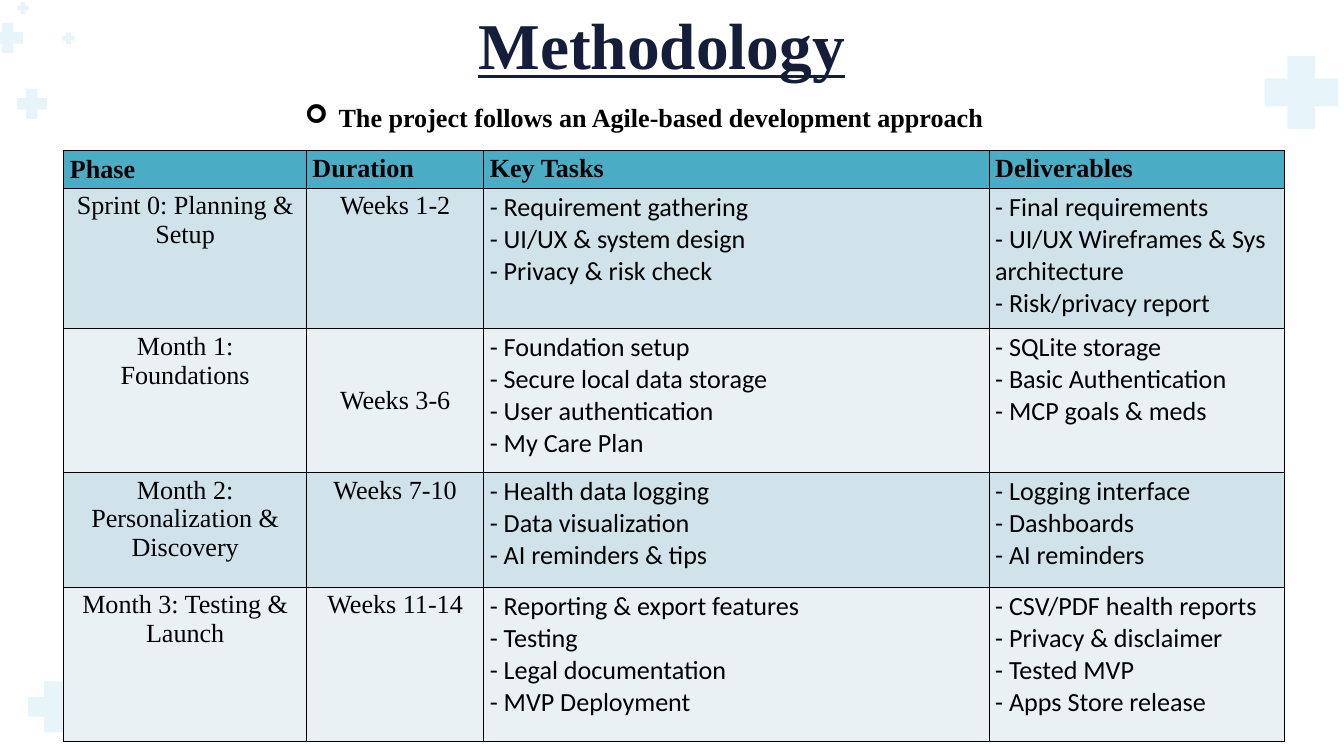
"""Build the Methodology slide with its sprint plan table."""
import pptx
import pptx.dml.color
import pptx.enum.shapes
import pptx.enum.text
import pptx.oxml
import pptx.oxml.ns
import pptx.util
from pptx.util import Inches

COLORS = {
    "title": "141E3A",
    "text": "000000",
    "cross": "29ABD9",
    "header": "4BACC6",
    "odd_row": "D0E3EA",
    "even_row": "E9F1F5",
}
SERIF = "Times New Roman"
SANS = "Calibri"
ALIGN = pptx.enum.text.PP_ALIGN
ANCHOR = pptx.enum.text.MSO_ANCHOR

CROSSES = [
    (0.42, 10.14, 0.76),
    (-0.11, 0.34, 0.45),
    (0.93, 0.48, 0.18),
    (0.25, 0.03, 0.18),
    (0.25, 1.32, 0.45),
    (18.82, 0.83, 1.09),
]
COLUMN_WIDTHS = [3.61, 2.64, 7.52, 4.4]
ROW_HEIGHTS = [0.56, 2.09, 2.14, 1.71, 2.3]
HEADERS = ["Phase", "Duration", "Key Tasks", "Deliverables"]
PHASES = [
    ("Sprint 0: Planning & Setup", "Weeks 1-2",
     ["Requirement gathering", "UI/UX & system design", "Privacy & risk check"],
     ["Final requirements", "UI/UX Wireframes & Sys architecture",
      "Risk/privacy report"]),
    ("Month 1: Foundations", "Weeks 3-6",
     ["Foundation setup", "Secure local data storage", "User authentication",
      "My Care Plan"],
     ["SQLite storage", "Basic Authentication", "MCP goals & meds"]),
    ("Month 2: Personalization & Discovery", "Weeks 7-10",
     ["Health data logging", "Data visualization", "AI reminders & tips"],
     ["Logging interface", "Dashboards", "AI reminders"]),
    ("Month 3: Testing & Launch", "Weeks 11-14",
     ["Reporting & export features", "Testing", "Legal documentation",
      "MVP Deployment"],
     ["CSV/PDF health reports", "Privacy & disclaimer", "Tested MVP",
      "Apps Store release"]),
]


def rgb(name):
    """Return the named colour."""
    return pptx.dml.color.RGBColor.from_string(COLORS[name])


def add_xml(parent, xml):
    """Append a DrawingML element to the parent and return it."""
    namespace = pptx.oxml.ns.nsdecls("a")
    element = pptx.oxml.parse_xml(xml.replace(" ", f" {namespace} ", 1))
    parent.append(element)
    return element


def format_text(para, font, size=28, color="text", bold=False):
    """Format every run of a paragraph."""
    for span in para.runs:
        span.font.name = font
        span.font.size = pptx.util.Pt(size)
        span.font.bold = bold
        span.font.color.rgb = rgb(color)


def add_cross(slide, left, top, size):
    """Add a faint medical cross."""
    cross = slide.shapes.add_shape(
        pptx.enum.shapes.MSO_SHAPE.CROSS,
        Inches(left), Inches(top), Inches(size), Inches(size))
    cross.adjustments[0] = 0.31
    cross.shadow.inherit = False
    cross.line.fill.background()
    cross.fill.solid()
    cross.fill.fore_color.rgb = rgb("cross")
    color = cross.fill._xPr.find(".//" + pptx.oxml.ns.qn("a:srgbClr"))
    add_xml(color, '<a:alpha val="11000"/>')


def set_title(slide):
    """Place and format the title."""
    title = slide.shapes.title
    title.left, title.top = Inches(7.12), Inches(-0.14)
    title.width, title.height = Inches(7.07), Inches(1.37)
    frame = title.text_frame
    frame.text = "Methodology"
    frame.auto_size = pptx.enum.text.MSO_AUTO_SIZE.NONE
    frame.vertical_anchor = ANCHOR.BOTTOM
    frame.margin_left = frame.margin_right = 0
    frame.margin_top = frame.margin_bottom = 0
    para = frame.paragraphs[0]
    para.alignment = ALIGN.LEFT
    para.line_spacing = pptx.util.Pt(84)
    format_text(para, SERIF, 70, "title", True)
    para.runs[0].font.underline = True


def add_approach(slide):
    """Add the bulleted statement above the table."""
    box = slide.shapes.add_textbox(
        Inches(4.29), Inches(1.23), Inches(15.08), Inches(0.72))
    frame = box.text_frame
    frame.word_wrap = True
    frame.auto_size = pptx.enum.text.MSO_AUTO_SIZE.SHAPE_TO_FIT_TEXT
    frame.text = "The project follows an Agile-based development approach"
    para = frame.paragraphs[0]
    para.alignment = ALIGN.JUSTIFY
    para.line_spacing = 1.5
    format_text(para, SERIF, bold=True)
    properties = para._p.get_or_add_pPr()
    properties.set("marL", str(Inches(0.65)))
    properties.set("indent", str(Inches(-0.5)))
    add_xml(properties, '<a:buFont typeface="Wingdings"/>')
    add_xml(properties, '<a:buChar char="➢"/>')


def fill_cell(cell, text, fill, font=SERIF, align=ALIGN.LEFT, bold=False):
    """Write a cell and set its border and fill."""
    cell.text_frame.text = text
    cell.margin_left = cell.margin_right = Inches(0.09)
    cell.margin_top = cell.margin_bottom = Inches(0.05)
    para = cell.text_frame.paragraphs[0]
    para.alignment = align
    format_text(para, font, bold=bold)
    properties = cell._tc.get_or_add_tcPr()
    for side in "LRTB":
        add_xml(properties, f'<a:ln{side} w="{pptx.util.Pt(1)}"><a:solidFill>'
                f'<a:srgbClr val="{COLORS["text"]}"/></a:solidFill></a:ln{side}>')
    cell.fill.solid()
    cell.fill.fore_color.rgb = rgb(fill)


def dash_list(items):
    """Join items as dashed lines of one paragraph."""
    return "\v".join(f"- {item}" for item in items)


def add_plan(slide):
    """Add the table of phases."""
    table = slide.shapes.add_table(
        len(ROW_HEIGHTS), len(COLUMN_WIDTHS), Inches(0.95), Inches(2.24),
        Inches(sum(COLUMN_WIDTHS)), Inches(sum(ROW_HEIGHTS))).table
    for column, width in zip(table.columns, COLUMN_WIDTHS):
        column.width = Inches(width)
    for row, height in zip(table.rows, ROW_HEIGHTS):
        row.height = Inches(height)
    for index, header in enumerate(HEADERS):
        fill_cell(table.cell(0, index), header, "header", bold=True)
    for index, (phase, weeks, tasks, results) in enumerate(PHASES, 1):
        fill = "odd_row" if index % 2 else "even_row"
        for column, text in enumerate((phase, weeks)):
            fill_cell(table.cell(index, column), text, fill, align=ALIGN.CENTER)
        for column, items in enumerate((tasks, results), 2):
            fill_cell(table.cell(index, column), dash_list(items), fill, SANS)
    for row, column in ((0, 0), (2, 1)):
        table.cell(row, column).vertical_anchor = ANCHOR.MIDDLE


def main():
    """Build and save the deck."""
    deck = pptx.Presentation()
    deck.slide_width, deck.slide_height = Inches(20), Inches(11.25)
    slide = deck.slides.add_slide(deck.slide_layouts[5])
    for left, top, size in CROSSES:
        add_cross(slide, left, top, size)
    set_title(slide)
    add_plan(slide)
    add_approach(slide)
    deck.save("out.pptx")


if __name__ == "__main__":
    main()
